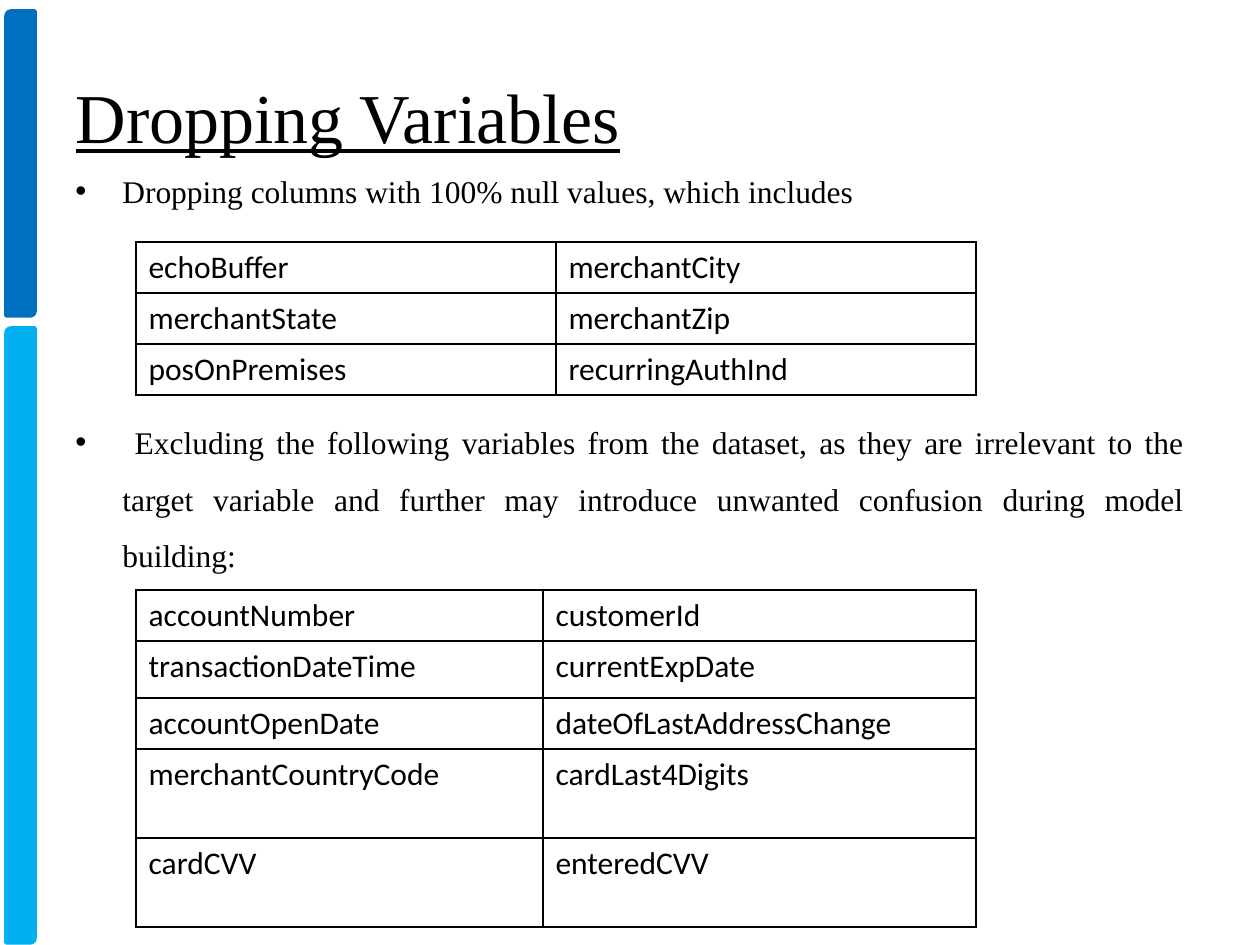
from dataclasses import dataclass

from lxml import etree
from pptx import Presentation
from pptx import util as u
from pptx.dml.color import RGBColor
from pptx.enum import shapes, text
from pptx.oxml import ns

PX = 914400 // 126

TITLE = "Dropping Variables"
BULLETS = [
    ("Dropping columns with 100% null values, which includes", 4),
    (" Excluding the following variables from the dataset, as they are irrelevant "
     "to the target variable and further may introduce unwanted confusion during "
     "model building:", 111),
]
NULL_COLUMNS = [
    ("echoBuffer", "merchantCity"),
    ("merchantState", "merchantZip"),
    ("posOnPremises", "recurringAuthInd"),
]
IRRELEVANT_COLUMNS = [
    ("accountNumber", "customerId"),
    ("transactionDateTime", "currentExpDate"),
    ("accountOpenDate", "dateOfLastAddressChange"),
    ("merchantCountryCode", "cardLast4Digits"),
    ("cardCVV", "enteredCVV"),
]
TABLES = [
    (242, NULL_COLUMNS, (420, 420), (51, 51, 51)),
    (590, IRRELEVANT_COLUMNS, (407, 433), (51, 57, 51, 89, 89)),
]
TABLE_LEFT = 136


@dataclass(frozen=True)
class Theme:
    ink: str = "000000"
    upper_bar: str = "0070C0"
    lower_bar: str = "00B0F0"
    serif: str = "Times New Roman"
    sans: str = "Calibri"
    title_size: int = 40
    body_size: int = 18


THEME = Theme()
BARS = [(11, 305, THEME.upper_bar), (328, 615, THEME.lower_bar)]


def px(*lengths):
    return [u.Emu(length * PX) for length in lengths]


def style(para, font, size):
    for span in para.runs:
        span.font.name = font
        span.font.size = u.Pt(size)
        span.font.color.rgb = RGBColor.from_string(THEME.ink)


def add_bar(page, top, height, colour):
    bar = page.shapes.add_shape(
        shapes.MSO_SHAPE.ROUND_2_DIAG_RECTANGLE, *px(6, top, 29, height))
    bar.shadow.inherit = False
    bar.fill.solid()
    bar.fill.fore_color.rgb = RGBColor.from_string(colour)
    bar.line.color.rgb = RGBColor.from_string(colour)
    bar.line.width = u.Pt(2)


def set_title(page):
    title = page.shapes.title
    title.left, title.top, title.width, title.height = px(63, 37, 1134, 157)
    title.text_frame.text = TITLE
    title.text_frame.vertical_anchor = text.MSO_ANCHOR.MIDDLE
    para = title.text_frame.paragraphs[0]
    para.alignment = text.PP_ALIGN.LEFT
    style(para, THEME.serif, THEME.title_size)
    para.runs[0].font.underline = True


def add_bullets(page):
    box = page.shapes.add_textbox(*px(63, 147, 1134, 777))
    frame = box.text_frame
    frame.word_wrap = True
    for index, (wording, space) in enumerate(BULLETS):
        para = frame.add_paragraph() if index else frame.paragraphs[0]
        para.text = wording
        para.alignment = text.PP_ALIGN.JUSTIFY
        para.line_spacing = 1.5
        para.space_before = u.Pt(space)
        style(para, THEME.serif, THEME.body_size)
        props = para._p.get_or_add_pPr()
        indent = 47 * PX
        props.set("marL", str(indent))
        props.set("indent", str(-indent))
        etree.SubElement(props, ns.qn("a:buFont")).set("typeface", "Arial")
        etree.SubElement(props, ns.qn("a:buChar")).set("char", "•")


def add_borders(cell):
    props = cell._tc.get_or_add_tcPr()
    for index, side in enumerate(("lnL", "lnR", "lnT", "lnB")):
        line = etree.Element(ns.qn(f"a:{side}"), w=str(u.Pt(1)))
        fill = etree.SubElement(line, ns.qn("a:solidFill"))
        etree.SubElement(fill, ns.qn("a:srgbClr")).set("val", THEME.ink)
        props.insert(index, line)


def add_variables(page, top, names, widths, heights):
    table = page.shapes.add_table(
        len(names), len(widths),
        *px(TABLE_LEFT, top, sum(widths), sum(heights))).table
    table.first_row = table.horz_banding = False
    for column, width in zip(table.columns, px(*widths)):
        column.width = width
    for row, height, wordings in zip(table.rows, px(*heights), names):
        row.height = height
        for cell, wording in zip(row.cells, wordings):
            cell.text_frame.text = wording
            style(cell.text_frame.paragraphs[0], THEME.sans, THEME.body_size)
            cell.fill.background()
            add_borders(cell)


def main():
    deck = Presentation()
    deck.slide_width, deck.slide_height = px(1260, 945)
    page = deck.slides.add_slide(deck.slide_layouts[5])
    for bar in BARS:
        add_bar(page, *bar)
    set_title(page)
    add_bullets(page)
    for table in TABLES:
        add_variables(page, *table)
    deck.save("out.pptx")


if __name__ == "__main__":
    main()
